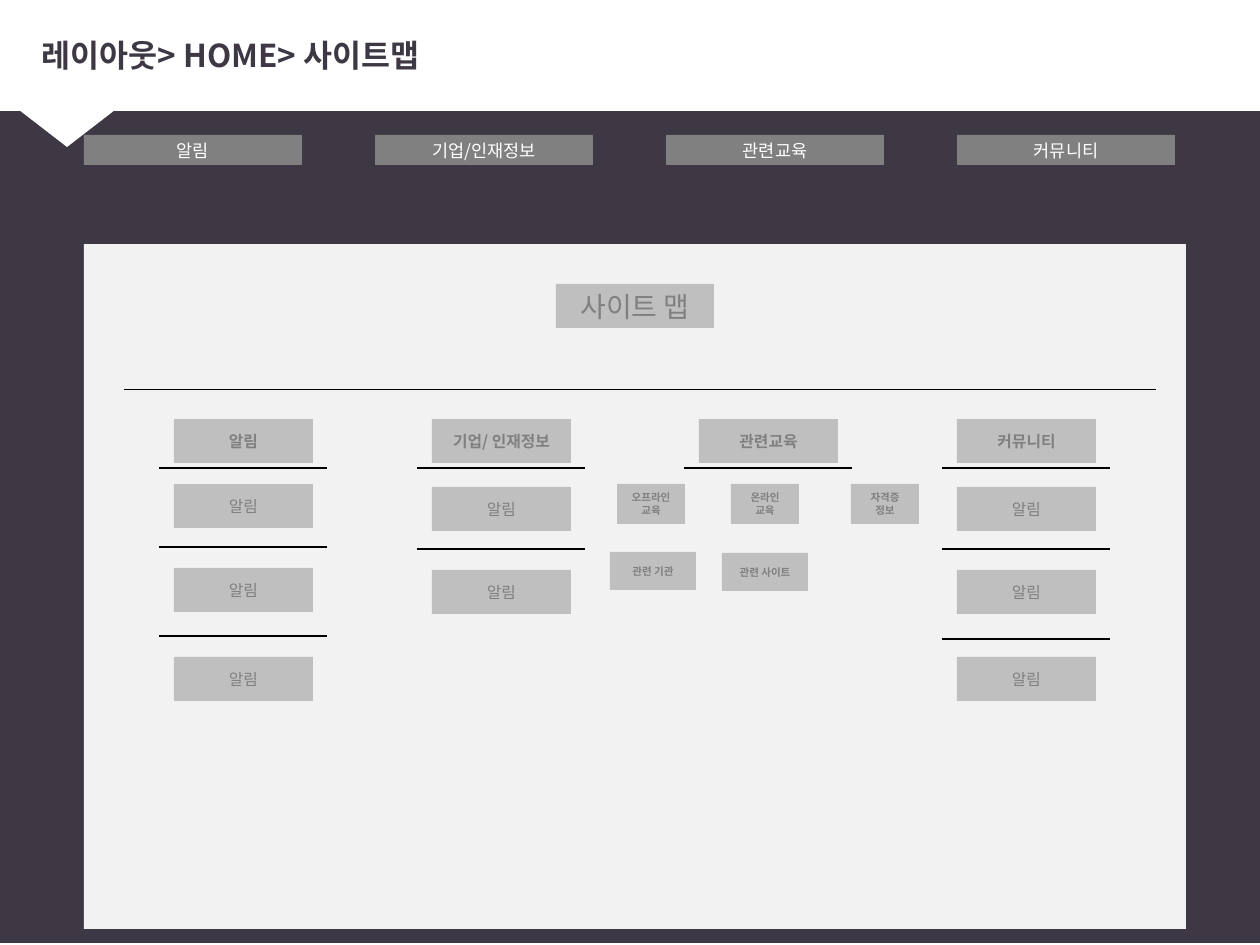
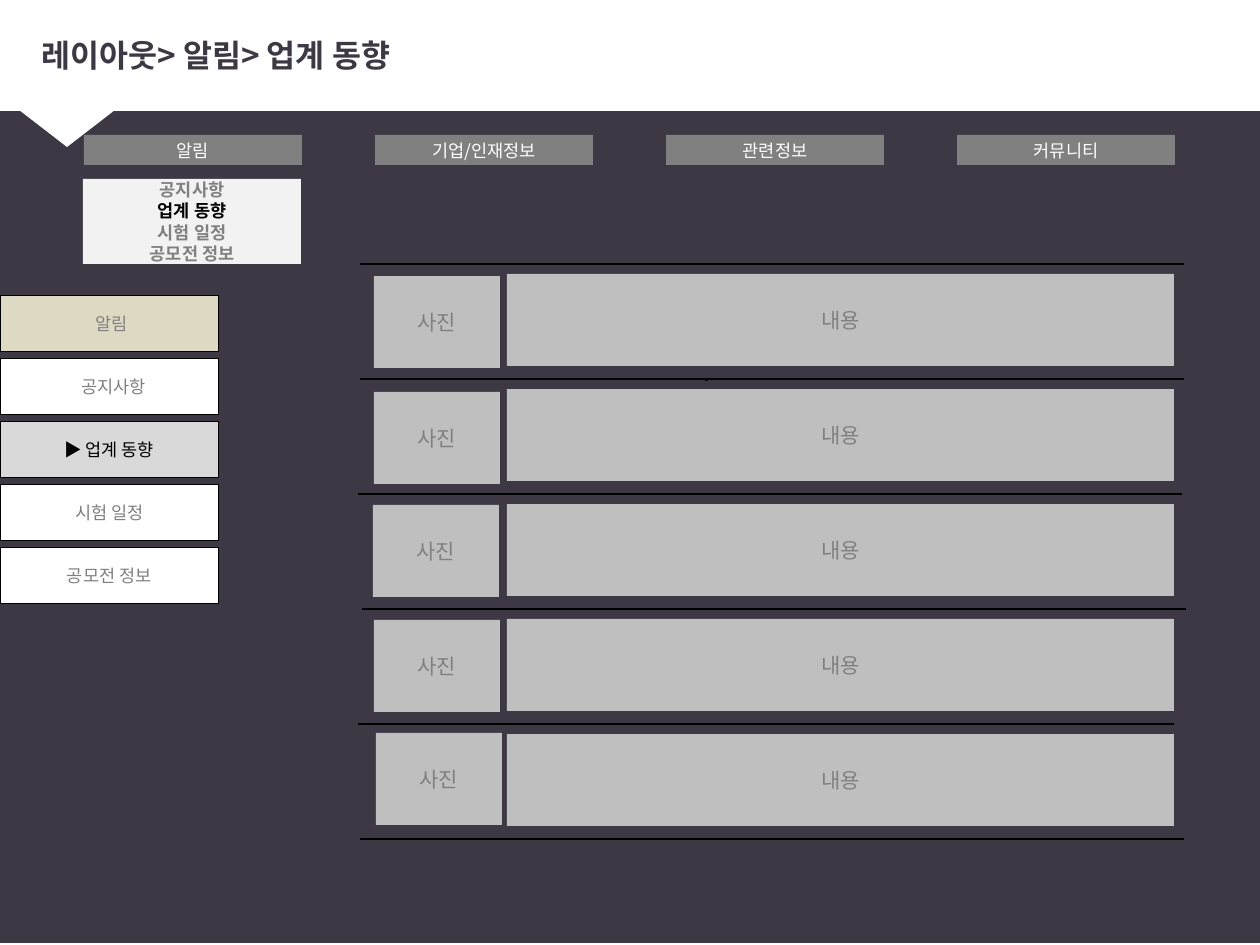
import dataclasses

import pptx
import pptx.dml.color
import pptx.enum.shapes
import pptx.enum.text
import pptx.oxml.ns
import pptx.util
from lxml import etree

EMU_PER_PX = 914400 / 126
SHAPES = pptx.enum.shapes.MSO_SHAPE
ALIGN = pptx.enum.text.PP_ALIGN
MIDDLE = pptx.enum.text.MSO_ANCHOR.MIDDLE


@dataclasses.dataclass(frozen=True)
class Theme:
    font: str = "Noto Sans CJK KR"
    dark: str = "3D3844"
    white: str = "FFFFFF"
    black: str = "000000"
    gray: str = "808080"
    card: str = "BFBFBF"
    panel: str = "F2F2F2"
    menu_head: str = "DDD9C3"
    menu_active: str = "D9D9D9"
    title_size: int = 18
    heading_size: int = 16
    board_size: int = 12
    nav_size: int = 10
    card_size: int = 9
    chip_size: int = 6
    hairline: float = 0.25
    thin: float = 0.5
    rule: float = 0.75
    thick: float = 1.5


THEME = Theme()


# Basic helpers
def px(length):
    return pptx.util.Emu(round(length * EMU_PER_PX))


def rgb(color):
    return pptx.dml.color.RGBColor.from_string(color)


def apply(target, values):
    for name, value in values.items():
        setattr(target, name, value)


def style_run(run, size, color, bold=False):
    apply(run.font, {"name": THEME.font, "size": pptx.util.Pt(size), "bold": bold})
    run.font.color.rgb = rgb(color)
    east_asian = etree.SubElement(run.font._element, pptx.oxml.ns.qn("a:ea"))
    east_asian.set("typeface", THEME.font)


def add_block(slide, box, fill, lines=(), size=THEME.card_size, color=THEME.gray,
              bold=False, outline=None, indent=0, kind=SHAPES.RECTANGLE):
    """Add a flat shape; each line is a text or a (text, color) pair."""
    block = slide.shapes.add_shape(kind, *map(px, box))
    block.shadow.inherit = False
    block.fill.solid()
    block.fill.fore_color.rgb = rgb(fill)
    if outline:
        block.line.color.rgb = rgb(outline)
        block.line.width = pptx.util.Pt(THEME.hairline)
    else:
        block.line.fill.background()
    frame = block.text_frame
    apply(frame, {"word_wrap": True, "vertical_anchor": MIDDLE})
    if indent:
        frame.margin_left += px(indent)
    for index, line in enumerate(lines):
        text, line_color = (line, color) if isinstance(line, str) else line
        paragraph = frame.add_paragraph() if index else frame.paragraphs[0]
        paragraph.alignment = ALIGN.CENTER
        run = paragraph.add_run()
        run.text = text
        style_run(run, size, line_color, bold)
    return block


def add_rule(slide, left, top, width, weight):
    rule = slide.shapes.add_connector(
        pptx.enum.shapes.MSO_CONNECTOR.STRAIGHT,
        px(left), px(top), px(left + width), px(top))
    rule.line.color.rgb = rgb(THEME.black)
    rule.line.width = pptx.util.Pt(weight)
    etree.SubElement(rule.element.spPr, pptx.oxml.ns.qn("a:effectLst"))


# Shared parts
def move_backdrop_to_layout(slide):
    """Draw the dark ground, white band and pointer, then share them by layout."""
    backdrop = [
        add_block(slide, (0, 0, 1260, 943), THEME.dark),
        add_block(slide, (0, 0, 1260, 111), THEME.white),
        add_block(slide, (-25, 76, 184, 71), THEME.white,
                  kind=SHAPES.ISOSCELES_TRIANGLE),
    ]
    backdrop[-1].rotation = 180
    layout_tree = slide.slide_layout.shapes.element
    for order, part in enumerate(backdrop):
        part.element.nvSpPr.cNvPr.set("id", str(101 + order))
        layout_tree.insert(2 + order, part.element)


def set_title(slide, text):
    title = slide.shapes.title
    apply(title, dict(zip(("left", "top", "width", "height"),
                          map(px, (29, 16, 1217, 78)))))
    apply(title.text_frame, {"word_wrap": True, "vertical_anchor": MIDDLE,
                             "auto_size": pptx.enum.text.MSO_AUTO_SIZE.NONE})
    paragraph = title.text_frame.paragraphs[0]
    paragraph.alignment = ALIGN.LEFT
    run = paragraph.add_run()
    run.text = text
    style_run(run, THEME.title_size, THEME.dark, bold=True)


def add_navigation(slide, left, top, labels):
    for index, label in enumerate(labels):
        add_block(slide, (left + 291 * index, top, 218, 30), THEME.gray, [label],
                  THEME.nav_size, THEME.white)


# Site map regions
def add_menu_column(slide, left, top, heading, item_tops, rule_tops):
    add_block(slide, (left, top, 139, 44), THEME.card, [heading], bold=True)
    add_rule(slide, left - 15, top + 49, 168, THEME.thick)
    for item_top in item_tops:
        add_block(slide, (left, top + item_top, 139, 44), THEME.card, ["알림"])
    for rule_top in rule_tops:
        add_rule(slide, left - 15, top + rule_top, 168, THEME.rule)


def add_site_map(slide, left, top, width, height):
    add_block(slide, (left, top, width, height), THEME.panel)
    add_block(slide, (left + 472, top + 40, 158, 44), THEME.card, ["사이트 맵"],
              THEME.heading_size)
    add_rule(slide, left + 40, top + 145, 1032, THEME.thin)

    columns = [
        (90, "알림", (65, 149, 238), (128, 217)),
        (348, "기업/ 인재정보", (68, 151), (130,)),
        (615, "관련교육", (), ()),
        (873, "커뮤니티", (68, 151, 238), (130, 220)),
    ]
    for column_left, *content in columns:
        add_menu_column(slide, left + column_left, top + 175, *content)

    education_chips = [
        (533, 240, 68, 40, ["오프라인 교육"]),
        (647, 240, 68, 40, ["온라인", "교육"]),
        (767, 240, 68, 40, ["자격증", "정보"]),
        (526, 308, 86, 38, ["관련 기관"]),
        (638, 309, 86, 38, ["관련 사이트"]),
    ]
    for x, y, chip_width, chip_height, lines in education_chips:
        add_block(slide, (left + x, top + y, chip_width, chip_height), THEME.card,
                  lines, THEME.chip_size, bold=True)


# Industry trend regions
def add_dropdown(slide, left, top, width, height):
    entries = ["공지사항", ("업계 동향", THEME.black), "시험 일정", "공모전 정보"]
    add_block(slide, (left, top, width, height), THEME.panel, entries,
              THEME.nav_size, bold=True)


def add_side_menu(slide, left, top):
    entries = [
        ("알림", THEME.menu_head, THEME.gray, 4),
        ("공지사항", THEME.white, THEME.gray, 8),
        ("▶ 업계 동향", THEME.menu_active, THEME.black, 0),
        ("시험 일정", THEME.white, THEME.gray, 0),
        ("공모전 정보", THEME.white, THEME.gray, 0),
    ]
    for index, (label, fill, color, indent) in enumerate(entries):
        add_block(slide, (left, top + 63 * index, 218, 56), fill, [label],
                  THEME.nav_size, color, outline=THEME.black, indent=indent)


def add_board(slide, left, top):
    row_pitch = 115
    # Offsets of each photo from the row's usual place
    photo_shifts = [(0, 2), (0, 3), (-1, 1), (0, 1), (2, -1)]
    for row, (shift_x, shift_y) in enumerate(photo_shifts):
        row_top = top + row_pitch * row + 10
        add_block(slide, (left + 14 + shift_x, row_top + shift_y, 126, 92),
                  THEME.card, ["사진"], THEME.board_size)
        add_block(slide, (left + 147, row_top, 667, 92), THEME.card, ["내용"],
                  THEME.board_size)
    rules = [(0, 824), (0, 824), (-2, 824), (2, 824), (-2, 816), (0, 824)]
    for row, (shift_x, width) in enumerate(rules):
        add_rule(slide, left + shift_x, top + row_pitch * row, width, THEME.rule)
    add_rule(slide, left + 345, top + row_pitch + 1, 3, THEME.rule)


# Slides
def build_site_map_slide(slide):
    set_title(slide, "레이아웃> HOME> 사이트맵")
    add_navigation(slide, 84, 135, ["알림", "기업/인재정보", "관련교육", "커뮤니티"])
    add_site_map(slide, 84, 244, 1102, 685)


def build_trend_slide(slide):
    set_title(slide, "레이아웃> 알림> 업계 동향")
    add_navigation(slide, 84, 135, ["알림", "기업/인재정보", "관련정보", "커뮤니티"])
    add_dropdown(slide, 83, 179, 218, 85)
    add_board(slide, 360, 264)
    add_side_menu(slide, 0, 295)


def main():
    deck = pptx.Presentation()
    apply(deck, {"slide_width": px(1260), "slide_height": px(945)})
    title_only = deck.slide_layouts[5]
    for index, build in enumerate((build_site_map_slide, build_trend_slide)):
        slide = deck.slides.add_slide(title_only)
        if index == 0:
            move_backdrop_to_layout(slide)
        build(slide)
    deck.save("out.pptx")


if __name__ == "__main__":
    main()
